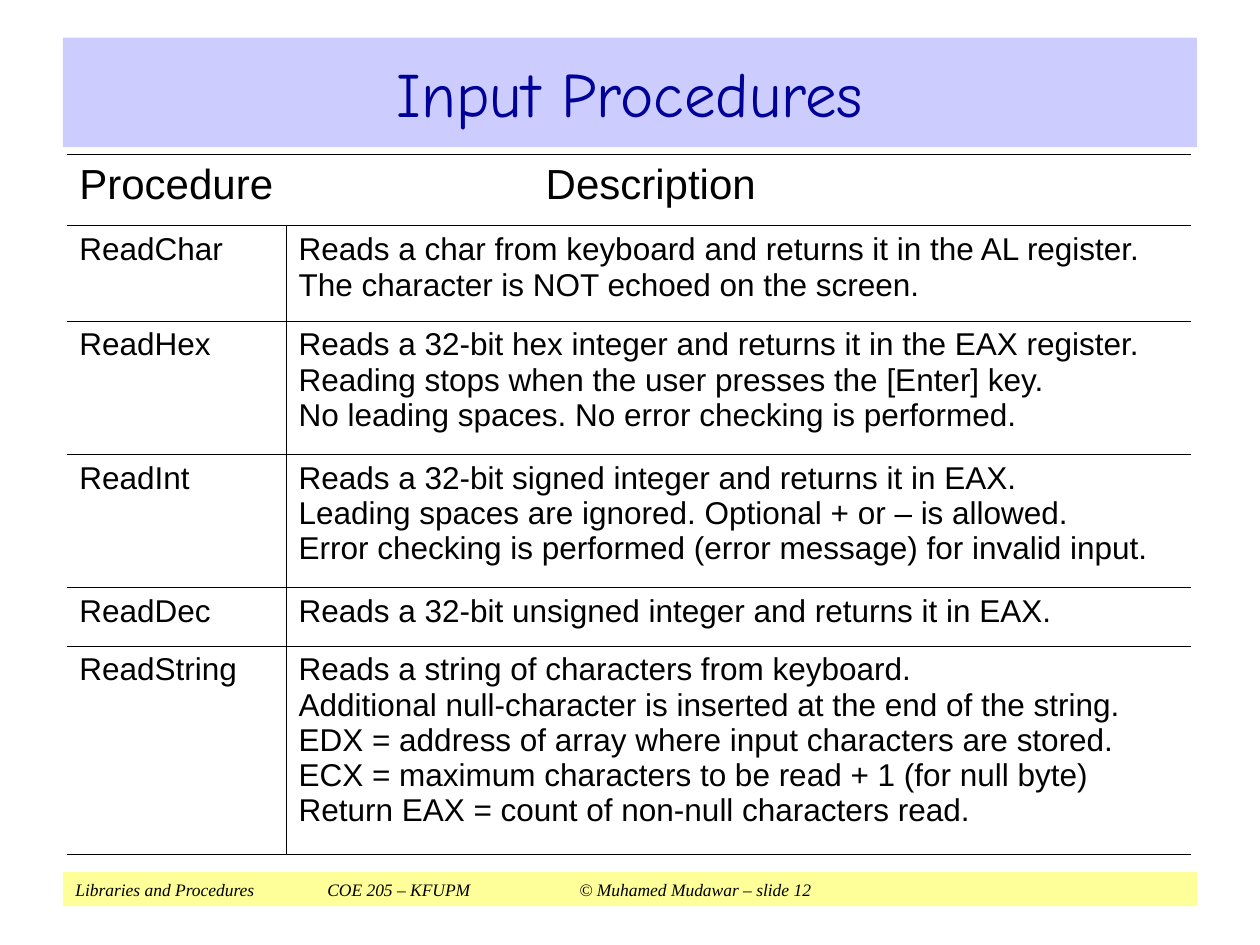
from lxml import etree
from pptx import Presentation
from pptx.dml.color import RGBColor
from pptx.enum import shapes, text
from pptx.oxml.ns import qn
from pptx.util import Cm, Pt

BLACK = RGBColor(0x00, 0x00, 0x00)
NAVY = RGBColor(0x00, 0x00, 0x99)
LAVENDER = RGBColor(0xCC, 0xCC, 0xFF)
YELLOW = RGBColor(0xFF, 0xFF, 0x99)

TITLE_FONT = {"name": "Comic Neue", "size": Pt(36)}
FOOTER_FONT = {"name": "Times New Roman", "size": Pt(10), "italic": True}
HEADER_FONT = {"name": "Arial", "size": Pt(24)}
BODY_FONT = {"name": "Arial", "size": Pt(18)}

NO_TABLE_STYLE = "{2D5ABB26-0587-4C30-8999-92F81FD0307C}"
COL_WIDTHS = (4.42, 18.24)
ROW_HEIGHTS = (1.43, 1.92, 2.69, 2.69, 1.17, 4.2)
DESCRIPTION_INDENT = Cm(4.98)
FOOTER_TABS = (5.08, 10.16)
THIN, MEDIUM = Pt(0.45), Pt(0.75)

PROCEDURES = [
    ("Procedure", ["Description"]),
    ("ReadChar", [
        "Reads a char from keyboard and returns it in the AL register.",
        "The character is NOT echoed on the screen."]),
    ("ReadHex", [
        "Reads a 32-bit hex integer and returns it in the EAX register.",
        "Reading stops when the user presses the [Enter] key.",
        "No leading spaces. No error checking is performed."]),
    ("ReadInt", [
        "Reads a 32-bit signed integer and returns it in EAX.",
        "Leading spaces are ignored. Optional + or – is allowed.",
        "Error checking is performed (error message) for invalid input."]),
    ("ReadDec", ["Reads a 32-bit unsigned integer and returns it in EAX."]),
    ("ReadString", [
        "Reads a string of characters from keyboard.",
        "Additional null-character is inserted at the end of the string.",
        "EDX = address of array where input characters are stored.",
        "ECX = maximum characters to be read + 1 (for null byte)",
        "Return EAX = count of non-null characters read."]),
]


def set_font(font, formats, color):
    for name, value in formats.items():
        setattr(font, name, value)
    font.color.rgb = color


def add_band(s, box, fill, words, formats, color, align):
    """Add a filled bar with one line of text and return its paragraph."""
    sp = s.shapes.add_shape(shapes.MSO_SHAPE.RECTANGLE, *map(Cm, box))
    sp.shadow.inherit = False
    sp.fill.solid()
    sp.fill.fore_color.rgb = fill
    sp.line.fill.background()
    tf = sp.text_frame
    tf.word_wrap = True
    tf.vertical_anchor = text.MSO_ANCHOR.MIDDLE
    p = tf.paragraphs[0]
    p.alignment = align
    r = p.add_run()
    r.text = words
    set_font(r.font, formats, color)
    return p


def add_title(s, box):
    add_band(s, box, LAVENDER, "Input Procedures", TITLE_FONT, NAVY,
             text.PP_ALIGN.CENTER)


def add_footer(s, box):
    words = "Libraries and Procedures\tCOE 205 – KFUPM\t© Muhamed Mudawar – slide 12"
    p = add_band(s, box, YELLOW, words, FOOTER_FONT, BLACK, text.PP_ALIGN.LEFT)
    tabs = etree.SubElement(p._p.get_or_add_pPr(), qn("a:tabLst"))
    for pos in FOOTER_TABS:
        etree.SubElement(tabs, qn("a:tab"), pos=str(Cm(pos)), algn="l")


def set_borders(cell, widths):
    """Draw the sides given as {tag: width}, and hide the other sides."""
    tcPr = cell._tc.get_or_add_tcPr()
    for tag in ("lnL", "lnR", "lnT", "lnB"):
        width = widths.get(tag)
        ln = etree.SubElement(tcPr, qn(f"a:{tag}"), w=str(width or 0))
        if width:
            fill = etree.SubElement(ln, qn("a:solidFill"))
            etree.SubElement(fill, qn("a:srgbClr"), val=str(BLACK))
        else:
            etree.SubElement(ln, qn("a:noFill"))


def fill_cell(cell, lines, formats):
    cell.margin_left = cell.margin_right = Cm(0.25)
    cell.margin_top = cell.margin_bottom = Cm(0.13)
    tf = cell.text_frame
    for i, line in enumerate(lines):
        p = tf.add_paragraph() if i else tf.paragraphs[0]
        r = p.add_run()
        r.text = line
        set_font(r.font, formats, BLACK)


def add_procedure_table(s, box):
    frame = s.shapes.add_table(len(ROW_HEIGHTS), len(COL_WIDTHS), *map(Cm, box))
    table = frame.table
    table.first_row = table.horz_banding = False
    table._tbl.tblPr.find(qn("a:tableStyleId")).text = NO_TABLE_STYLE
    for column, width in zip(table.columns, COL_WIDTHS):
        column.width = Cm(width)
    for row, height in zip(table.rows, ROW_HEIGHTS):
        row.height = Cm(height)
    for i, (name, description) in enumerate(PROCEDURES):
        for j, lines in enumerate(([name], description)):
            cell = table.cell(i, j)
            fill_cell(cell, lines, BODY_FONT if i else HEADER_FONT)
            widths = {"lnT": THIN if i > 1 else MEDIUM,
                      "lnB": THIN if i else MEDIUM}
            if i:
                widths["lnL" if j else "lnR"] = THIN
            set_borders(cell, widths)
            cell.fill.background()
    header = table.cell(0, 1).text_frame.paragraphs[0]
    header._p.get_or_add_pPr().set("marL", str(DESCRIPTION_INDENT))


def main():
    prs = Presentation()
    prs.slide_width, prs.slide_height = Cm(25.4), Cm(19.05)
    s = prs.slides.add_slide(prs.slide_layouts[6])
    add_footer(s, (1.27, 17.58, 22.86, 0.69))
    add_title(s, (1.27, 0.76, 22.86, 2.21))
    add_procedure_table(s, (1.35, 3.12, sum(COL_WIDTHS), sum(ROW_HEIGHTS)))
    prs.save("out.pptx")


if __name__ == "__main__":
    main()
